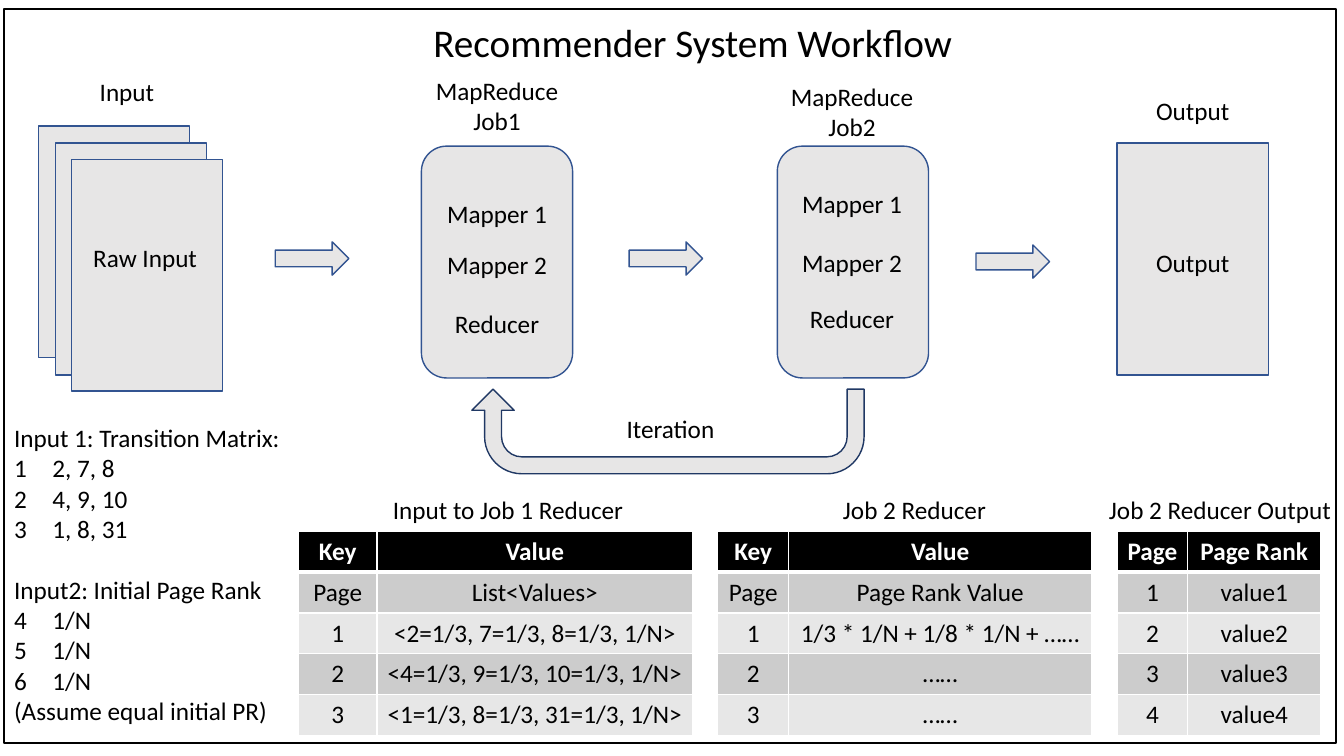
from lxml.etree import SubElement
from pptx import Presentation
from pptx.dml.color import RGBColor
from pptx.enum.shapes import MSO_SHAPE as Shape
from pptx.enum.text import MSO_ANCHOR as Anchor, MSO_AUTO_SIZE as AutoSize, PP_ALIGN as Align
from pptx.oxml.ns import qn
from pptx.util import Inches, Pt

BLACK = RGBColor(0x00, 0x00, 0x00)
WHITE = RGBColor(0xFF, 0xFF, 0xFF)
LIGHT_GRAY = RGBColor(0xE7, 0xE6, 0xE6)
BLUE = RGBColor(0x32, 0x54, 0x91)
NAVY = RGBColor(0x20, 0x38, 0x64)
DARK_BAND = RGBColor(0xCC, 0xCC, 0xCC)
LIGHT_BAND = RGBColor(0xE7, 0xE7, 0xE7)


class SlideBuilder:
    font_name = "Calibri"
    text_size = 18
    title_size = 28

    def __init__(self, slide):
        self.slide = slide

    def format_paragraph(self, paragraph, size=text_size, color=BLACK, bold=False, align=Align.CENTER):
        paragraph.alignment = align
        for run in paragraph.runs:
            run.font.name = self.font_name
            run.font.size = Pt(size)
            run.font.bold = bold
            run.font.color.rgb = color

    def place(self, shape, left, top, width, height):
        shape.left, shape.top = Inches(left), Inches(top)
        shape.width, shape.height = Inches(width), Inches(height)
        shape.text_frame.word_wrap = True
        shape.text_frame.auto_size = AutoSize.NONE

    def title(self, text, *box):
        title = self.slide.shapes.title
        self.place(title, *box)
        title.text_frame.text = text
        title.text_frame.vertical_anchor = Anchor.MIDDLE
        self.format_paragraph(title.text_frame.paragraphs[0], self.title_size)

    def numbered_lists(self, entries, *box):
        body = self.slide.placeholders[1]
        self.place(body, *box)
        frame = body.text_frame
        frame.vertical_anchor = Anchor.TOP
        frame.text = "\n".join(text for text, start, gap in entries)
        for paragraph, (text, start, gap) in zip(frame.paragraphs, entries):
            self.format_paragraph(paragraph, align=Align.LEFT)
            paragraph.space_before = Pt(gap)
            paragraph.line_spacing = 1.0
            properties = paragraph._p.get_or_add_pPr()
            indent = Inches(0.38) if start else 0
            properties.set("marL", str(indent))
            properties.set("indent", str(-indent))
            if start:
                number = SubElement(properties, qn("a:buAutoNum"), type="arabicPlain")
                number.set("startAt", str(start))
            else:
                SubElement(properties, qn("a:buNone"))

    def shape(self, kind, left, top, width, height, fill=LIGHT_GRAY, line=BLUE, line_width=1):
        shape = self.slide.shapes.add_shape(
            kind, Inches(left), Inches(top), Inches(width), Inches(height))
        shape.shadow.inherit = False
        shape.fill.solid()
        shape.fill.fore_color.rgb = fill
        shape.line.color.rgb = line
        shape.line.width = Pt(line_width)
        return shape

    def frame(self, *box):
        frame = self.shape(Shape.RECTANGLE, *box, WHITE, BLACK, 1.5)
        self.slide.shapes.title._element.addprevious(frame._element)

    def label(self, text, left, top, width=1.5, height=0.4):
        label = self.slide.shapes.add_textbox(0, 0, 0, 0)
        self.place(label, left, top, width, height)
        label.text_frame.text = text
        self.format_paragraph(label.text_frame.paragraphs[0])

    def cell_borders(self, cell, bottom_width):
        properties = cell._tc.get_or_add_tcPr()
        for side, width in (("L", 1), ("R", 1), ("T", 1), ("B", bottom_width)):
            line = SubElement(properties, qn(f"a:ln{side}"), w=str(Pt(width)))
            fill = SubElement(line, qn("a:solidFill"))
            SubElement(fill, qn("a:srgbClr"), val=str(WHITE))

    def table(self, rows, left, top, widths, row_height=0.4):
        table = self.slide.shapes.add_table(
            len(rows), len(widths), Inches(left), Inches(top),
            Inches(sum(widths)), Inches(row_height * len(rows))).table
        for column, width in zip(table.columns, widths):
            column.width = Inches(width)
        for row_index, row in enumerate(rows):
            header = row_index == 0
            band = DARK_BAND if row_index % 2 else LIGHT_BAND
            for column_index, text in enumerate(row):
                cell = table.cell(row_index, column_index)
                cell.text_frame.text = text
                cell.margin_left = cell.margin_right = Inches(0.05)
                self.format_paragraph(
                    cell.text_frame.paragraphs[0], color=WHITE if header else BLACK, bold=header)
                self.cell_borders(cell, 3 if header else 1)
                cell.fill.solid()
                cell.fill.fore_color.rgb = BLACK if header else band


presentation = Presentation()
presentation.slide_width = Inches(13.33)
presentation.slide_height = Inches(7.5)
builder = SlideBuilder(presentation.slides.add_slide(presentation.slide_layouts[1]))

builder.frame(0.04, 0.09, 13.21, 7.28)
builder.title("Recommender System Workflow", 3.99, 0.13, 5.76, 0.57)
builder.numbered_lists([
    ("Input 1: Transition Matrix:", None, 0),
    ("2, 7, 8", 1, 0),
    ("4, 9, 10", 1, 0),
    ("1, 8, 31", 1, 0),
    ("Input2: Initial Page Rank", None, 22),
    ("1/N", 4, 0),
    ("1/N", 4, 0),
    ("1/N", 4, 0),
    ("(Assume equal initial PR)", None, 0),
], 0.04, 4.14, 2.91, 3.13)

BOX_SIZE = (1.5, 2.3)
for left, top in ((0.38, 1.25), (0.55, 1.42), (0.71, 1.58), (11.08, 1.42)):
    builder.shape(Shape.RECTANGLE, left, top, *BOX_SIZE)
for left in (4.18, 7.71):
    builder.shape(Shape.ROUNDED_RECTANGLE, left, 1.45, *BOX_SIZE)
for left, top in ((2.73, 2.4), (6.24, 2.4), (9.68, 2.43)):
    builder.shape(Shape.RIGHT_ARROW, left, top, 0.73, 0.33)

iteration_arrow = builder.shape(Shape.U_TURN_ARROW, 4.68, 3.86, 3.89, 0.84, line=NAVY)
iteration_arrow.rotation = 180
for index, adjustment in enumerate((0.2, 0.25, 0.25, 0.44, 1)):
    iteration_arrow.adjustments[index] = adjustment

for text, left, top in (
    ("Input", 0.51, 0.71),
    ("Raw Input", 0.69, 2.36),
    ("Output", 11.08, 0.9),
    ("Output", 11.08, 2.4),
    ("Iteration", 5.9, 4.05),
):
    builder.label(text, left, top)

for heading, left, top, step_tops in (
    ("MapReduce Job1", 4.18, 0.7, (1.92, 2.42, 3.01)),
    ("MapReduce Job2", 7.7, 0.76, (1.82, 2.4, 2.96)),
):
    builder.label(heading, left, top, height=0.71)
    for step, step_top in zip(("Mapper 1", "Mapper 2", "Reducer"), step_tops):
        builder.label(step, left, step_top)

TABLE_TOP = 5.27
for caption, caption_left, caption_width, left, widths, rows in (
    ("Input to Job 1 Reducer", 3.7, 2.68, 2.96, (0.78, 3.13), [
        ("Key", "Value"),
        ("Page", "List<Values>"),
        ("1", "<2=1/3, 7=1/3, 8=1/3, 1/N>"),
        ("2", "<4=1/3, 9=1/3, 10=1/3, 1/N>"),
        ("3", "<1=1/3, 8=1/3, 31=1/3, 1/N>"),
    ]),
    ("Job 2 Reducer", 7.73, 2.68, 7.12, (0.7, 3.01), [
        ("Key", "Value"),
        ("Page", "Page Rank Value"),
        ("1", "1/3 * 1/N + 1/8 * 1/N + ……"),
        ("2", "……"),
        ("3", "……"),
    ]),
    ("Job 2 Reducer Output", 10.88, 2.44, 11.08, (0.7, 1.32), [
        ("Page", "Page Rank"),
        *((str(rank), f"value{rank}") for rank in range(1, 5)),
    ]),
):
    builder.label(caption, caption_left, TABLE_TOP - 0.41, caption_width)
    builder.table(rows, left, TABLE_TOP, widths)

presentation.save("out.pptx")
